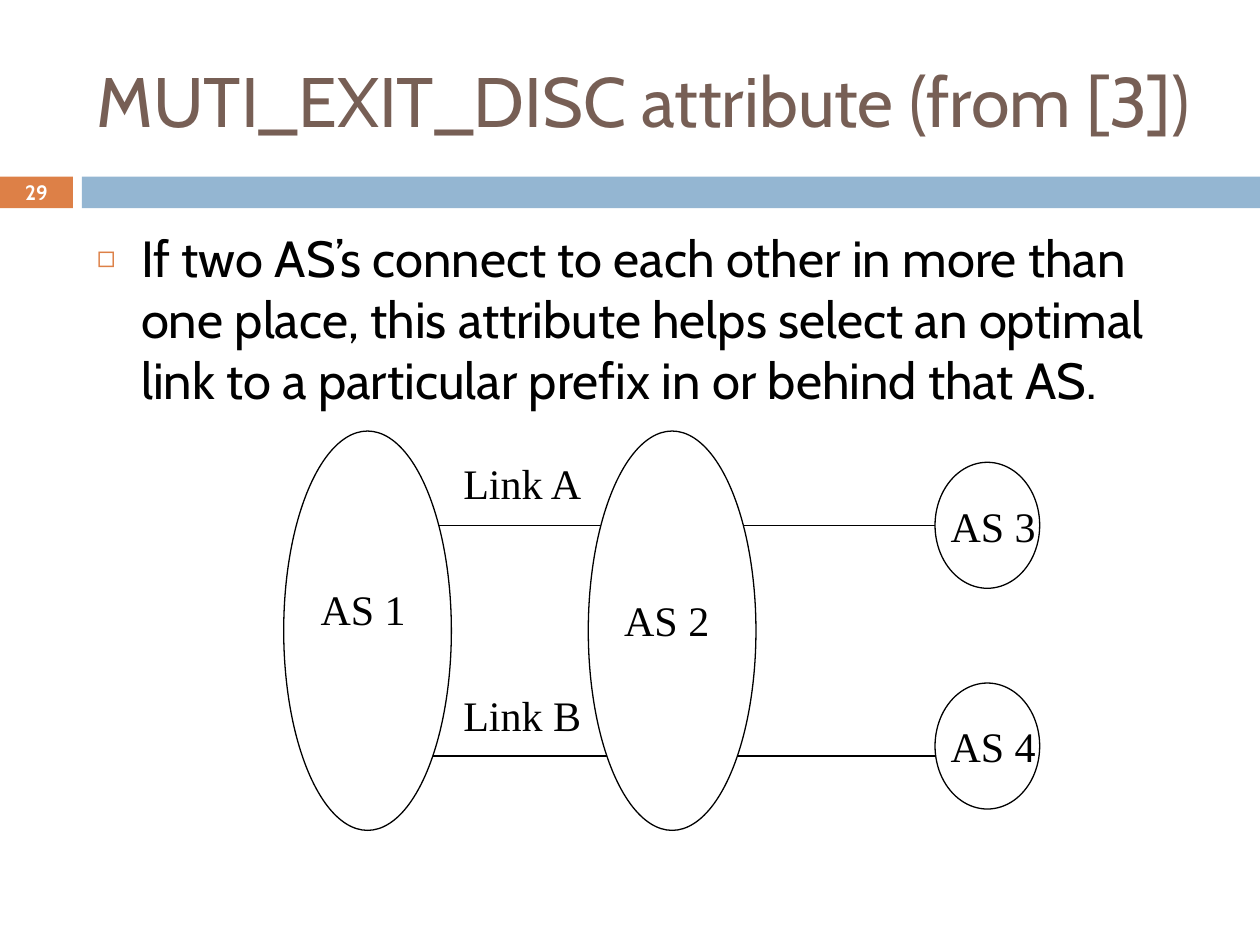
from lxml import etree
from pptx import Presentation
from pptx.dml.color import RGBColor
from pptx.enum.shapes import MSO_CONNECTOR, MSO_SHAPE
from pptx.enum.text import MSO_ANCHOR as ANCHOR, MSO_AUTO_SIZE as FIT, PP_ALIGN as ALIGN
from pptx.oxml.ns import qn
from pptx.util import Cm, Pt

BLACK = RGBColor(0x00, 0x00, 0x00)
WHITE = RGBColor(0xFF, 0xFF, 0xFF)
BROWN = RGBColor(0x77, 0x5F, 0x55)
ORANGE = RGBColor(0xDD, 0x80, 0x47)
BLUE = RGBColor(0x94, 0xB6, 0xD2)


class Page:
    sans, serif = "Cabin", "Times New Roman"
    line_width = Pt(0.75)

    def __init__(self, s):
        self.s = s

    def set_text(self, sp, text, size, color, font, align=ALIGN.LEFT, anchor=ANCHOR.TOP, bold=False):
        tf = sp.text_frame
        tf.text = text
        tf.word_wrap = True
        tf.auto_size = FIT.NONE
        tf.vertical_anchor = anchor
        p = tf.paragraphs[0]
        p.alignment = align
        f = p.runs[0].font
        f.name, f.size, f.bold = font, Pt(size), bold
        f.color.rgb = color
        return p

    def placeholder(self, idx, x, y, w, h, *text, **style):
        sp = self.s.placeholders[idx]
        sp.left, sp.top, sp.width, sp.height = Cm(x), Cm(y), Cm(w), Cm(h)
        return self.set_text(sp, *text, **style)

    def bullet(self, p, char, percent, color, indent):
        pPr = p._p.get_or_add_pPr()
        pPr.set("marL", str(Cm(indent)))
        pPr.set("indent", str(-Cm(indent)))
        clr = etree.SubElement(pPr, qn("a:buClr"))
        etree.SubElement(clr, qn("a:srgbClr"), val=str(color))
        etree.SubElement(pPr, qn("a:buSzPct"), val=str(percent * 1000))
        etree.SubElement(pPr, qn("a:buChar"), char=char)

    def label(self, x, y, w, h, *text, **style):
        return self.set_text(self.s.shapes.add_textbox(Cm(x), Cm(y), Cm(w), Cm(h)), *text, **style)

    def shape(self, kind, x, y, w, h, fill, line=None):
        sp = self.s.shapes.add_shape(kind, Cm(x), Cm(y), Cm(w), Cm(h))
        sp.shadow.inherit = False
        sp.fill.solid()
        sp.fill.fore_color.rgb = fill
        if line is None:
            sp.line.fill.background()
        else:
            sp.line.color.rgb = line
            sp.line.width = self.line_width

    def link(self, x1, x2, y):
        c = self.s.shapes.add_connector(MSO_CONNECTOR.STRAIGHT, Cm(x1), Cm(y), Cm(x2), Cm(y))
        c.line.color.rgb = BLACK
        c.line.width = self.line_width
        etree.SubElement(c._element.spPr, qn("a:effectLst"))


prs = Presentation()
prs.slide_width, prs.slide_height = Cm(25.4), Cm(19.05)
s = prs.slides.add_slide(prs.slide_layouts[1])
page = Page(s)

# Header band and slide number
page.shape(MSO_SHAPE.RECTANGLE, 0, 3.56, 1.47, 0.64, ORANGE)
page.shape(MSO_SHAPE.RECTANGLE, 1.65, 3.56, 23.75, 0.64, BLUE)
page.label(0, 3.53, 1.47, 0.69, "29", 11.9, WHITE, page.sans,
           align=ALIGN.CENTER, anchor=ANCHOR.MIDDLE, bold=True)

# Title and body
page.placeholder(0, 1.7, 0.64, 22.66, 2.74, "MUTI_EXIT_DISC attribute (from [3])",
                 40, BROWN, page.sans, anchor=ANCHOR.MIDDLE)
p = page.placeholder(1, 1.7, 4.45, 22.66, 12.5,
                     "If two AS’s connect to each other in more than one place, this attribute "
                     "helps select an optimal link to a particular prefix in or behind that AS.",
                     29, BLACK, page.sans)
p.space_before = Pt(7)
page.bullet(p, "◻", 60, ORANGE, 0.89)

# Links run behind the systems
for y in (10.59, 15.24):
    page.link(7.42, 20.12, y)

# Autonomous systems
for x in (5.72, 11.86):
    page.shape(MSO_SHAPE.OVAL, x, 8.69, 3.38, 8.05, WHITE, BLACK)
for y in (9.32, 13.77):
    page.shape(MSO_SHAPE.OVAL, 18.85, y, 2.11, 2.54, WHITE, BLACK)

# Names of systems and links
for name, x, y in (("AS 1", 6.15, 11.63), ("AS 2", 12.27, 11.86),
                   ("AS 3", 18.85, 9.96), ("AS 4", 18.85, 14.4)):
    page.label(x, y, 2.34, 1.27, name, 24, BLACK, page.serif, align=ALIGN.CENTER)
for name, y in (("Link A", 9.09), ("Link B", 13.77)):
    page.label(9.09, y, 3.18, 1.27, name, 24, BLACK, page.serif)

prs.save("out.pptx")
